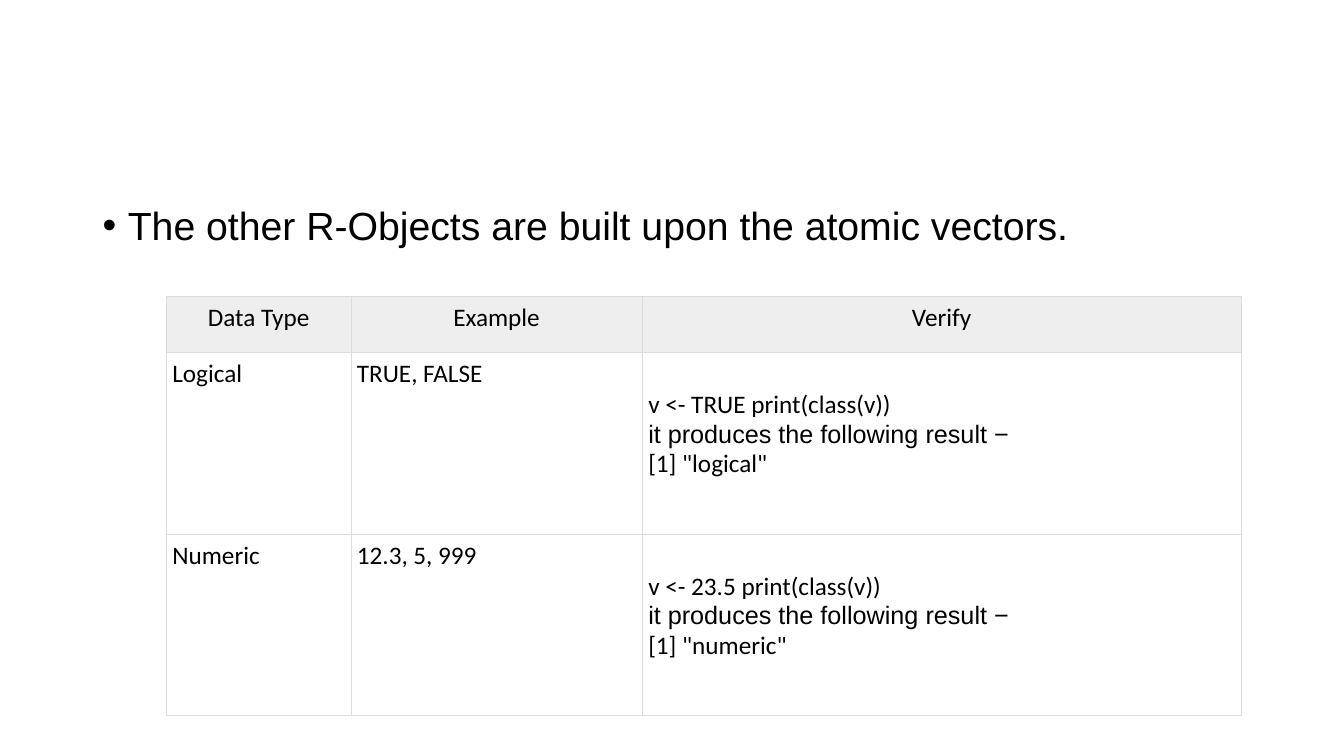
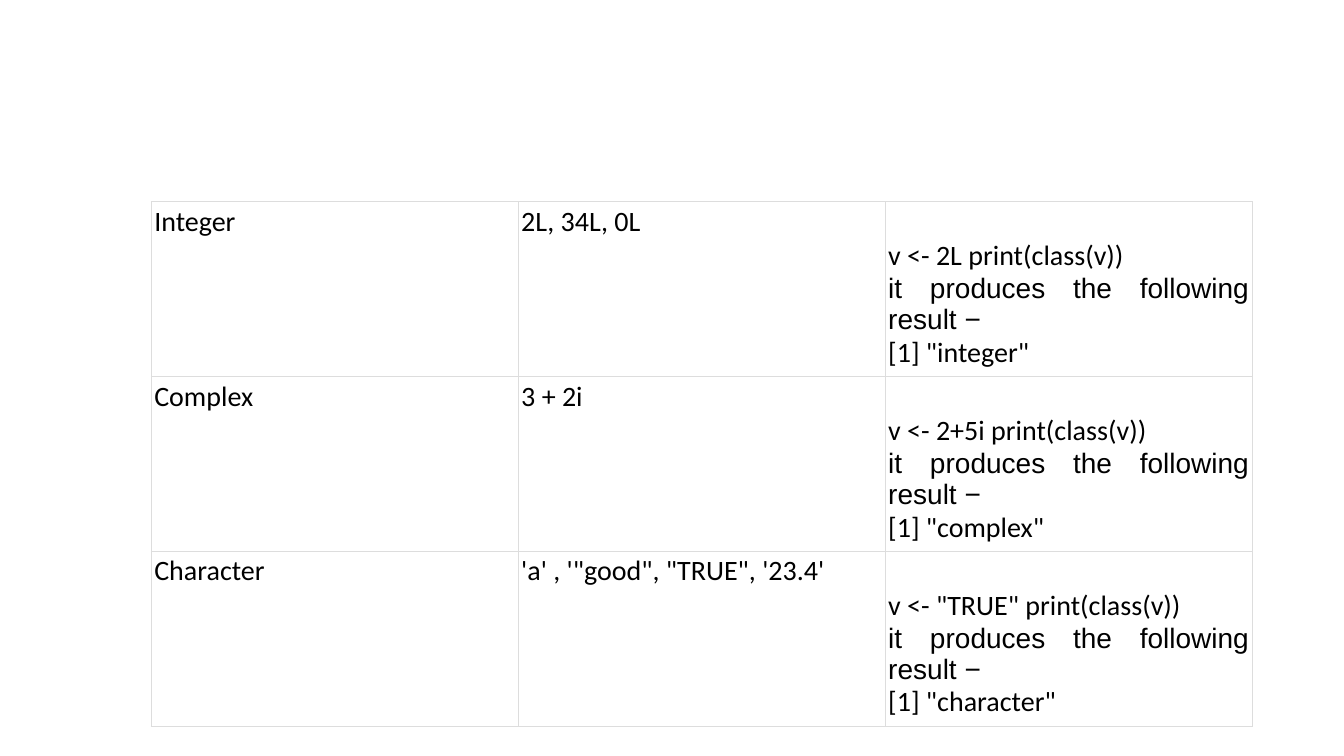
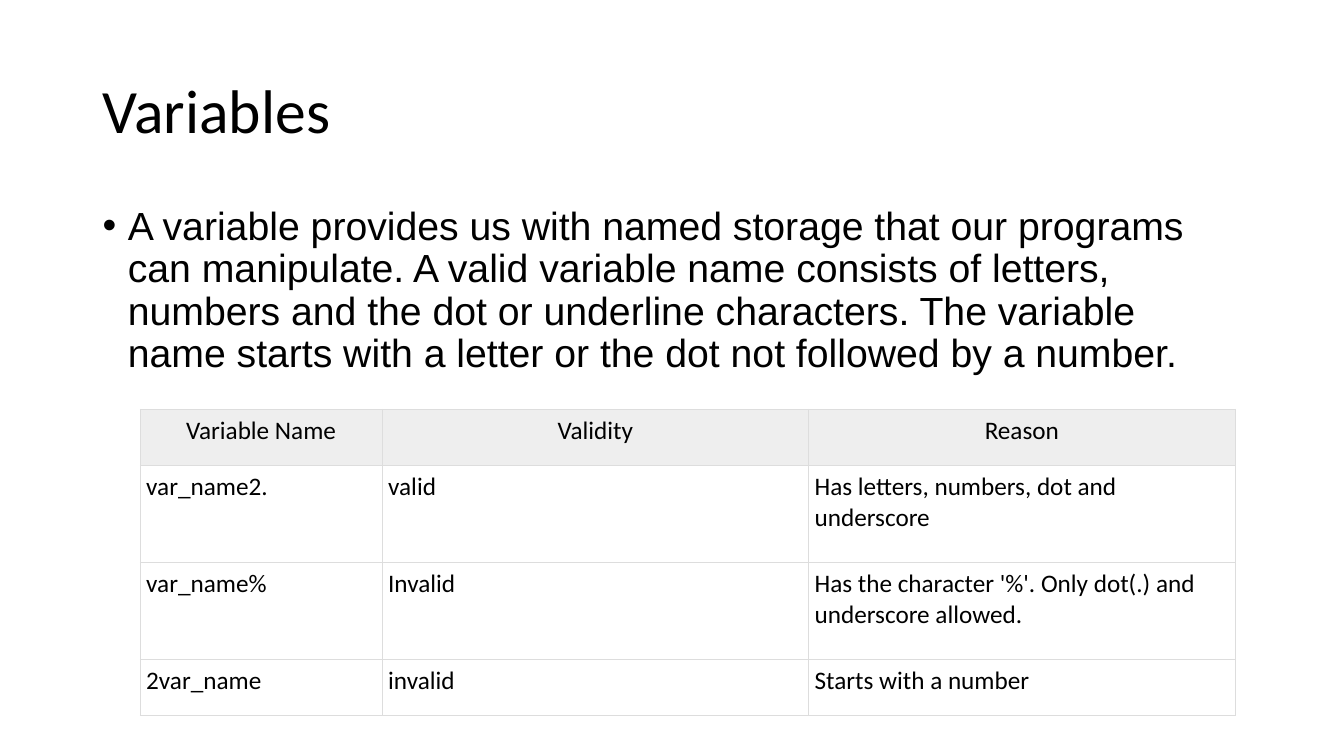
"""Build three slides on R data types and variable names."""
from lxml import etree
from pptx import Presentation
from pptx.dml.color import RGBColor
from pptx.enum.text import MSO_ANCHOR, PP_ALIGN
from pptx.oxml.ns import qn
from pptx.util import Inches, Pt

BLACK, WHITE, HEADER, BORDER = "000000", "FFFFFF", "EEEEEE", "DDDDDD"
HEADING_FONT, BODY_FONT = "Calibri", "Arial"
RESULT_LINE = "it produces the following result \u2212"
TITLE_ONLY, BLANK = 5, 6

LESSONS = [
    dict(
        title=None,
        bullet="The other R-Objects are built upon the atomic vectors.",
        left=1.65, top=2.94, size=18, margin=0.06, has_header=True,
        widths=[1.83, 2.89, 5.94], heights=[0.56, 1.8, 1.8],
        rows=[
            ["Data Type", "Example", "Verify"],
            ["Logical", "TRUE, FALSE", ["v <- TRUE print(class(v))", RESULT_LINE, '[1] "logical"']],
            ["Numeric", "12.3, 5, 999", ["v <- 23.5 print(class(v))", RESULT_LINE, '[1] "numeric"']],
        ],
    ),
    dict(
        title=None, bullet=None,
        left=1.5, top=2, size=20, margin=0.03, has_header=False,
        widths=[3.64] * 3, heights=[1.7] * 3,
        rows=[
            ["Integer", "2L, 34L, 0L", ["v <- 2L print(class(v))", RESULT_LINE, '[1] "integer"']],
            ["Complex", "3 + 2i", ["v <- 2+5i print(class(v))", RESULT_LINE, '[1] "complex"']],
            ["Character", "'a' , '\"good\", \"TRUE\", '23.4'",
             ['v <- "TRUE" print(class(v))', RESULT_LINE, '[1] "character"']],
        ],
    ),
    dict(
        title="Variables",
        bullet="A variable provides us with named storage that our programs can manipulate. "
               "A valid variable name consists of letters, numbers and the dot or underline "
               "characters. The variable name starts with a letter or the dot not followed "
               "by a number.",
        left=1.39, top=4.06, size=18, margin=0.06, has_header=True,
        widths=[2.4, 4.23, 4.23], heights=[0.56, 0.96, 0.96, 0.56],
        rows=[
            ["Variable Name", "Validity", "Reason"],
            ["var_name2.", "valid", "Has letters, numbers, dot and underscore"],
            ["var_name%", "Invalid", "Has the character '%'. Only dot(.) and underscore allowed."],
            ["2var_name", "invalid", "Starts with a number"],
        ],
    ),
]


def color(value):
    return RGBColor.from_string(value)


def write(paragraph, text, size, font, align=PP_ALIGN.LEFT):
    run = paragraph.add_run()
    run.text = text
    run.font.size = Pt(size)
    run.font.name = font
    run.font.bold = False
    run.font.color.rgb = color(BLACK)
    paragraph.alignment = align


prs = Presentation()
prs.slide_width, prs.slide_height = Inches(13.33), Inches(7.5)

for lesson in LESSONS:
    layout = TITLE_ONLY if lesson["title"] else BLANK
    slide = prs.slides.add_slide(prs.slide_layouts[layout])

    if lesson["title"]:
        title = slide.shapes.title
        title.left, title.top = Inches(0.92), Inches(0.4)
        title.width, title.height = Inches(11.5), Inches(1.45)
        title.text_frame.vertical_anchor = MSO_ANCHOR.MIDDLE
        heading = title.text_frame.paragraphs[0]
        write(heading, lesson["title"], 44, HEADING_FONT)
        heading.line_spacing = 0.9

    if lesson["bullet"]:
        body = slide.shapes.add_textbox(Inches(0.92), Inches(2), Inches(11.5), Inches(4.76))
        body.text_frame.word_wrap = True
        point = body.text_frame.paragraphs[0]
        write(point, lesson["bullet"], 28, BODY_FONT)
        point.line_spacing = 0.9
        point.space_before = Pt(10)
        properties = point._p.get_or_add_pPr()
        properties.set("marL", str(Inches(0.25)))
        properties.set("indent", str(Inches(-0.25)))
        etree.SubElement(properties, qn("a:buFont"), typeface=BODY_FONT)
        etree.SubElement(properties, qn("a:buChar"), char="\u2022")

    rows, widths, heights = lesson["rows"], lesson["widths"], lesson["heights"]
    size, margin = lesson["size"], lesson["margin"]
    table = slide.shapes.add_table(
        len(rows), len(widths), Inches(lesson["left"]), Inches(lesson["top"]),
        Inches(sum(widths)), Inches(sum(heights))).table
    table.first_row = lesson["has_header"]
    table.horz_banding = False
    for column, width in zip(table.columns, widths):
        column.width = Inches(width)

    for r, (entries, height) in enumerate(zip(rows, heights)):
        table.rows[r].height = Inches(height)
        is_header = lesson["has_header"] and r == 0
        for c, entry in enumerate(entries):
            cell = table.cell(r, c)
            cell.margin_left = cell.margin_right = Inches(margin)
            cell.margin_top = cell.margin_bottom = Inches(margin)
            cell.fill.solid()
            cell.fill.fore_color.rgb = color(HEADER if is_header else WHITE)
            cell_properties = cell._tc.get_or_add_tcPr()
            for position, side in enumerate(["lnL", "lnR", "lnT", "lnB"]):
                line = etree.Element(qn(f"a:{side}"), w=str(Pt(0.5)))
                fill = etree.SubElement(line, qn("a:solidFill"))
                etree.SubElement(fill, qn("a:srgbClr"), val=BORDER)
                cell_properties.insert(position, line)

            frame = cell.text_frame
            if isinstance(entry, str):
                align = PP_ALIGN.CENTER if is_header else PP_ALIGN.LEFT
                write(frame.paragraphs[0], entry, size, HEADING_FONT, align)
                continue
            cell.margin_top = Inches(margin + 0.017 * size)
            for i, text in enumerate(entry):
                paragraph = frame.add_paragraph() if i else frame.paragraphs[0]
                font = BODY_FONT if text == RESULT_LINE else HEADING_FONT
                align = PP_ALIGN.LEFT if i == len(entry) - 1 else PP_ALIGN.JUSTIFY
                write(paragraph, text, size, font, align)

prs.save("out.pptx")
